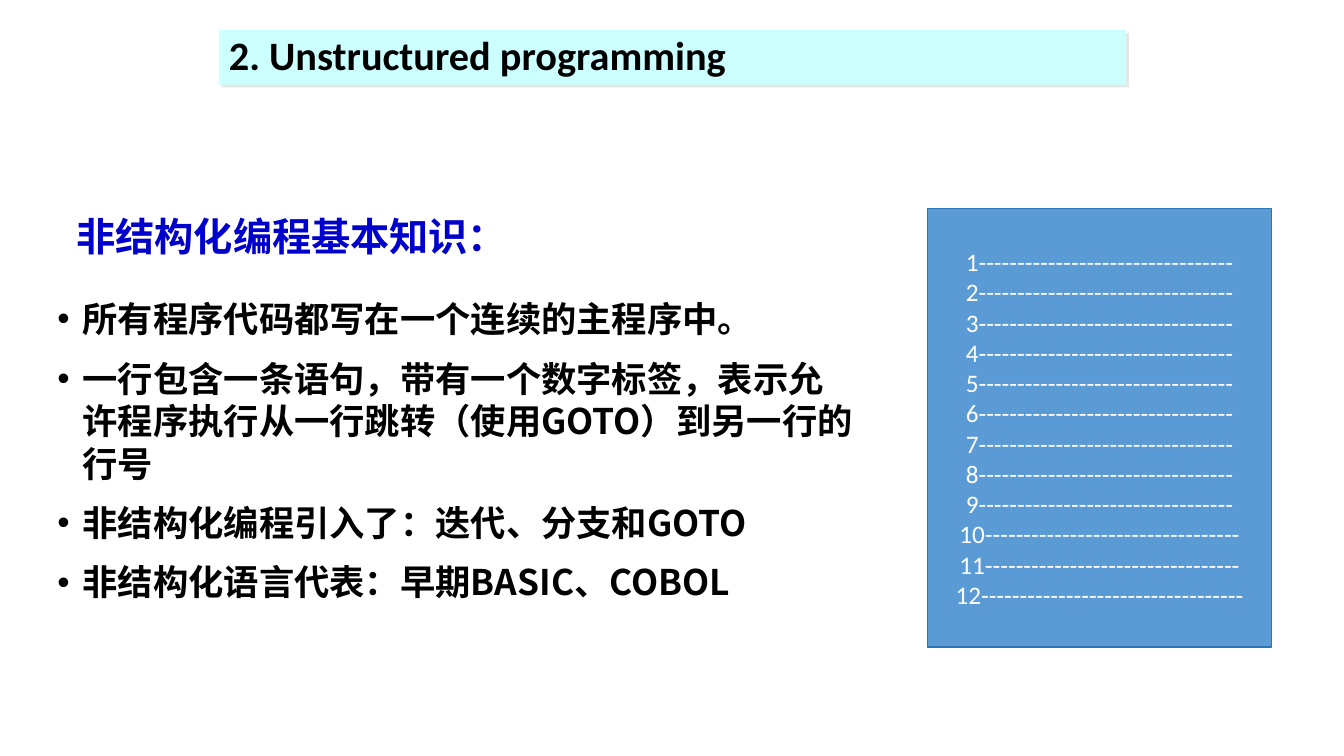
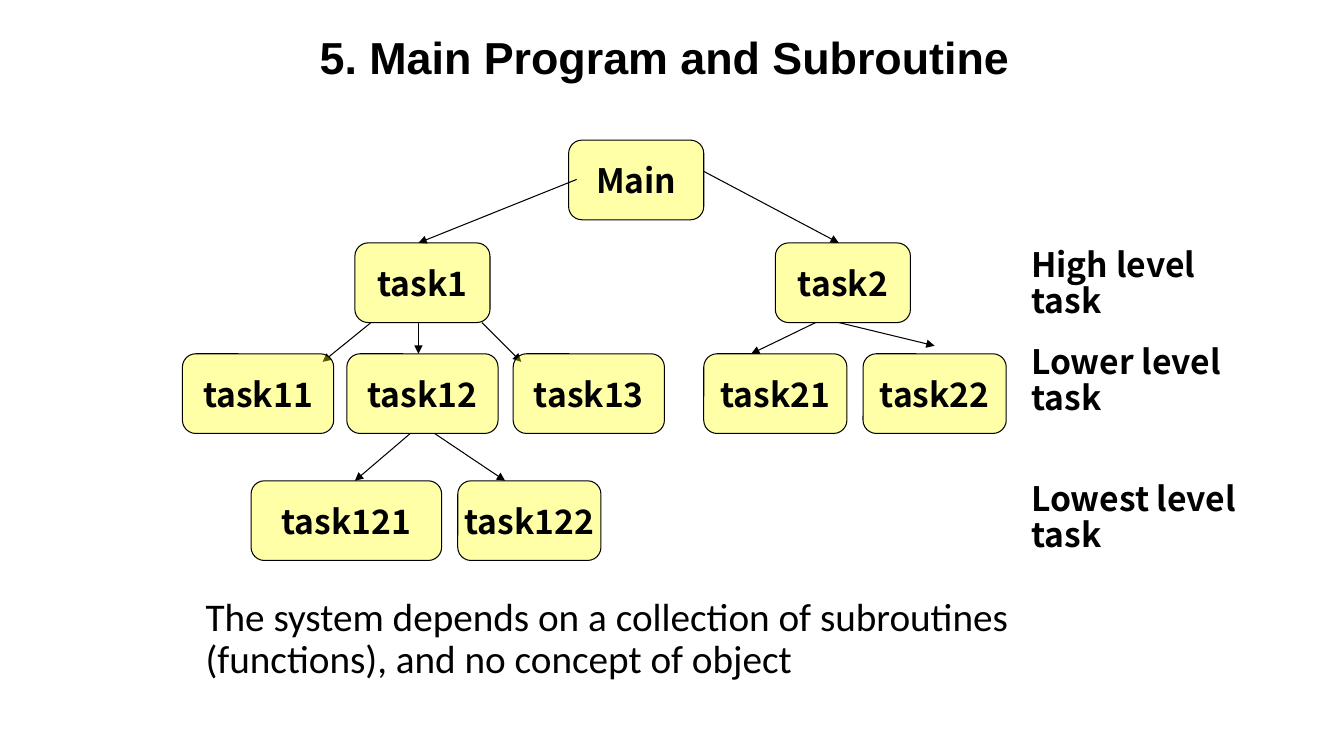
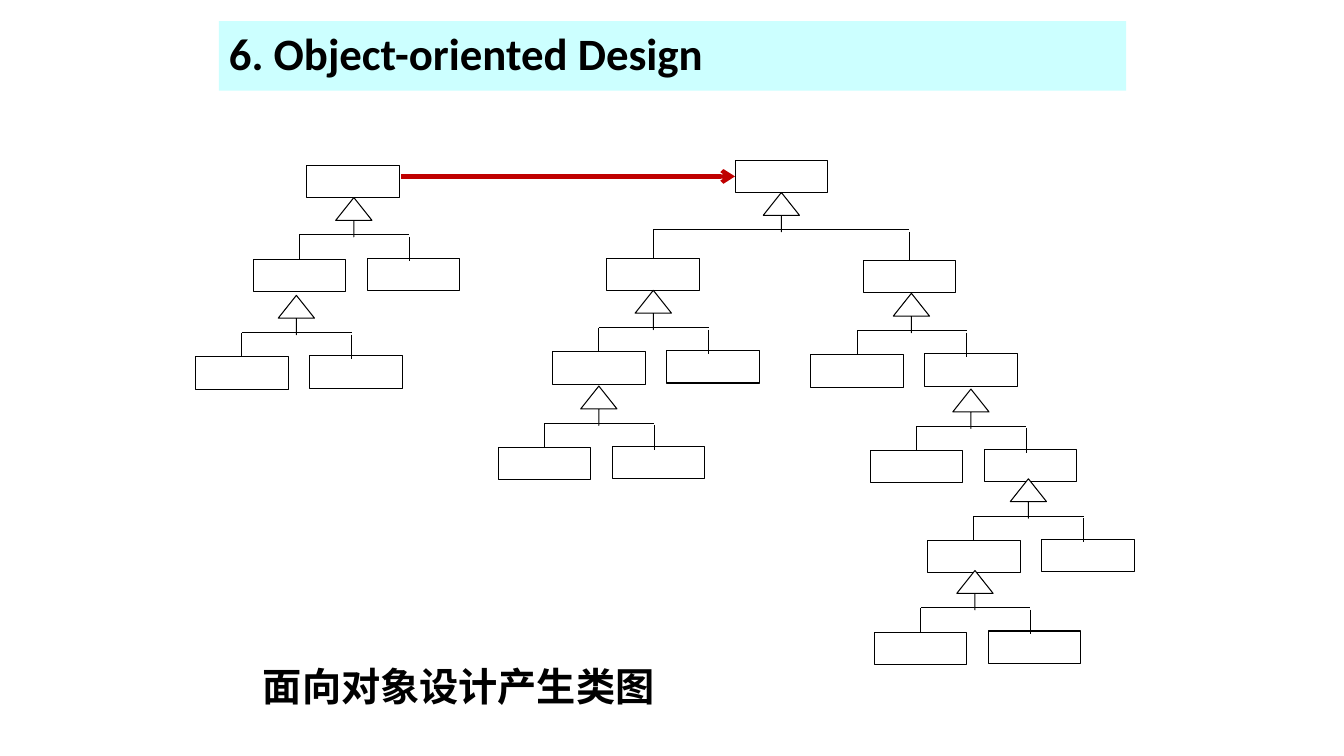
from lxml import etree
from pptx import Presentation
from pptx.dml.color import RGBColor
from pptx.enum.shapes import MSO_CONNECTOR, MSO_SHAPE
from pptx.enum.text import MSO_ANCHOR, MSO_AUTO_SIZE, PP_ALIGN
from pptx.oxml.ns import qn
from pptx.util import Pt

PX = 9144
BLACK = RGBColor(0x00, 0x00, 0x00)
WHITE = RGBColor(0xFF, 0xFF, 0xFF)
CYAN = RGBColor(0xCC, 0xFF, 0xFF)
YELLOW = RGBColor(0xFF, 0xFF, 0x00)
NAVY = RGBColor(0x00, 0x00, 0xCC)
BLUE = RGBColor(0x5B, 0x9B, 0xD5)
DARK_BLUE = RGBColor(0x2E, 0x75, 0xB6)
RED = RGBColor(0xC0, 0x00, 0x00)
CJK = "Noto Sans CJK SC"
LEFT, CENTER = PP_ALIGN.LEFT, PP_ALIGN.CENTER
TOP, MIDDLE = MSO_ANCHOR.TOP, MSO_ANCHOR.MIDDLE
NO_FIT = MSO_AUTO_SIZE.NONE
RECT, ROUND, UP_ARROW = MSO_SHAPE.RECTANGLE, MSO_SHAPE.ROUNDED_RECTANGLE, MSO_SHAPE.UP_ARROW
STRAIGHT = MSO_CONNECTOR.STRAIGHT


def write(sp, lines, size, font=CJK, color=BLACK, bold=True, align=LEFT, anchor=TOP, spacing=None, wrap=True):
    tf = sp.text_frame
    tf.text = "\n".join(lines)
    tf.word_wrap, tf.auto_size, tf.vertical_anchor = wrap, NO_FIT, anchor
    for p in tf.paragraphs:
        p.alignment, p.line_spacing = align, spacing
        for r in p.runs:
            r.font.size, r.font.name, r.font.bold = Pt(size), font, bold
            r.font.color.rgb = color
            etree.SubElement(r.font._element, qn("a:ea"), typeface=font)
    return tf


def connect(s, x1, y1, x2, y2, color=BLACK, width=0.75, head=None):
    c = s.shapes.add_connector(STRAIGHT, x1 * PX, y1 * PX, x2 * PX, y2 * PX)
    c.line.color.rgb, c.line.width = color, Pt(width)
    if head:
        etree.SubElement(c.line._get_or_add_ln(), qn("a:tailEnd"), type=head)
    etree.SubElement(c._element.spPr, qn("a:effectLst"))
    return c


prs = Presentation()
prs.slide_width, prs.slide_height = 1333 * PX, 750 * PX

titles = [
    ("2. Unstructured programming", 217, 30, 900, 54, 28.8, "Calibri", CYAN),
    ("5. Main Program and Subroutine", 257, 28, 803, 63, 32, "Arial", WHITE),
    ("6. Object-oriented Design", 217, 21, 900, 69, 32, "Calibri", CYAN),
]
slides = []
for text, x, y, w, h, size, font, fill in titles:
    s = prs.slides.add_slide(prs.slide_layouts[5])
    sp = s.shapes.title
    sp.left, sp.top, sp.width, sp.height = x * PX, y * PX, w * PX, h * PX
    sp.fill.solid()
    sp.fill.fore_color.rgb = fill
    write(sp, [text], size, font, anchor=MIDDLE, spacing=0.9)
    slides.append(s)
unstructured, subroutine, design = slides

effects = etree.SubElement(unstructured.shapes.title._element.spPr, qn("a:effectLst"))
shadow = etree.SubElement(effects, qn("a:outerShdw"), dist="35921", dir="2700000", algn="ctr", rotWithShape="0")
etree.SubElement(shadow, qn("a:srgbClr"), val="E7E6E6")
subroutine.shapes.title.text_frame.paragraphs[0]._p.get_or_add_pPr().set("marL", str(50 * PX))

s = unstructured
sp = s.shapes.add_textbox(57 * PX, 290 * PX, 793 * PX, 354 * PX)
tf = write(sp, [
    "所有程序代码都写在一个连续的主程序中。",
    "一行包含一条语句，带有一个数字标签，表示允许程序执行从一行跳转（使用GOTO）到另一行的行号",
    "非结构化编程引入了：迭代、分支和GOTO",
    "非结构化语言代表：早期BASIC、COBOL",
], 25.2, spacing=Pt(30.4))
tf.margin_left = tf.margin_right = 0
for i, p in enumerate(tf.paragraphs):
    p.space_before, p.space_after = Pt(6 if i else 0), Pt(6)
    pPr = p._p.get_or_add_pPr()
    pPr.set("marL", str(25 * PX))
    pPr.set("indent", str(-25 * PX))
    etree.SubElement(pPr, qn("a:buFont"), typeface="Arial")
    etree.SubElement(pPr, qn("a:buChar"), char="•")

sp = s.shapes.add_textbox(66 * PX, 206 * PX, 499 * PX, 57 * PX)
write(sp, ["非结构化编程基本知识："], 28, color=NAVY)

sp = s.shapes.add_shape(RECT, 920 * PX, 207 * PX, 341 * PX, 435 * PX)
sp.shadow.inherit = False
sp.fill.solid()
sp.fill.fore_color.rgb = BLUE
sp.line.color.rgb, sp.line.width = DARK_BLUE, Pt(1)
lines = [f"{n}" + "-" * (34 if n == 12 else 33) for n in range(1, 13)]
write(sp, lines, 18, "Calibri", WHITE, False, CENTER, MIDDLE)

s = subroutine
sp = s.shapes.add_textbox(194 * PX, 588 * PX, 941 * PX, 118 * PX)
write(sp, ["The system depends on a collection of subroutines", "(functions), and no concept of object"],
      28, "Calibri", bold=False, spacing=0.9)

levels = [
    (139, [("Main", 564, 134)],
     [(572, 178, 415, 241), (698, 170, 832, 241)]),
    (241, [("task1", 352, 134), ("task2", 769, 134)],
     [(368, 320, 320, 359), (415, 320, 415, 351), (478, 320, 517, 359),
      (809, 320, 745, 351), (832, 320, 927, 343)]),
    (351, [("task11", 181, 150), ("task12", 344, 150), ("task13", 509, 150),
           ("task21", 698, 142), ("task22", 856, 142)],
     [(407, 430, 352, 477), (431, 430, 501, 477)]),
    (477, [("task121", 249, 189), ("task122", 454, 142)], []),
]
for y, tasks, calls in levels:
    for name, x, w in tasks:
        sp = s.shapes.add_shape(ROUND, x * PX, y * PX, w * PX, 79 * PX)
        sp.shadow.inherit = False
        sp.fill.solid()
        sp.fill.fore_color.rgb = YELLOW
        etree.SubElement(sp._element.spPr.find(".//" + qn("a:srgbClr")), qn("a:alpha"), val="34000")
        sp.line.color.rgb, sp.line.width = BLACK, Pt(0.75)
        write(sp, [name], 24, align=CENTER, anchor=MIDDLE, wrap=False)
    for call in calls:
        connect(s, *call, head="triangle")

for level, y in [("High", 241), ("Lower", 337), ("Lowest", 473)]:
    sp = s.shapes.add_textbox(1013 * PX, y * PX, 280 * PX, 83 * PX)
    write(sp, [f"{level} level", "task"], 24, spacing=Pt(26))

s = design
small = [(648, 288), (594, 383), (904, 291), (963, 386), (1020, 475), (967, 566), (351, 196), (294, 293)]
groups = [(775, 191, -127, 127, 81, 65, 67)]
groups += [(cx, y, -54, 55, 13, 61, 60) for cx, y in small]
boxes = [(729, 159), (304, 164)]
for cx, y, bar_left, bar_right, right_dx, left_dy, right_dy in groups:
    boxes += [(cx + bar_left - 46, y + left_dy), (cx + right_dx, y + right_dy)]
classes = []
for x, y in boxes:
    sp = s.shapes.add_shape(RECT, x * PX, y * PX, 92 * PX, 32 * PX)
    classes.append(sp)
arrows = []
for i, (cx, y, bar_left, bar_right, right_dx, left_dy, right_dy) in enumerate(groups, 1):
    left, right = classes[2 * i], classes[2 * i + 1]
    connect(s, cx + bar_left, y + 37, cx + bar_right, y + 37)
    drop = connect(s, cx + bar_left, y + 37, cx + bar_left, y + left_dy)
    drop.end_connect(left, 0)
    drop = connect(s, cx + bar_right, y + 39, cx + bar_right, y + right_dy + 3)
    if right.left + right.width // 2 == drop.end_x:
        drop.end_connect(right, 0)
    sp = s.shapes.add_shape(UP_ARROW, (cx - 18) * PX, y * PX, 36 * PX, 39 * PX)
    sp.adjustments[0], sp.adjustments[1] = 0, 0.63
    arrows.append(sp)
for sp in classes + arrows:
    sp.shadow.inherit = False
    sp.fill.solid()
    sp.fill.fore_color.rgb = WHITE
    sp.line.color.rgb, sp.line.width = BLACK, Pt(0.75)

c = connect(s, 398, 175, 729, 175, RED, 3, "arrow")
c.end_connect(classes[0], 1)

sp = s.shapes.add_textbox(251 * PX, 652 * PX, 447 * PX, 57 * PX)
write(sp, ["面向对象设计产生类图"], 28)

prs.save("out.pptx")
